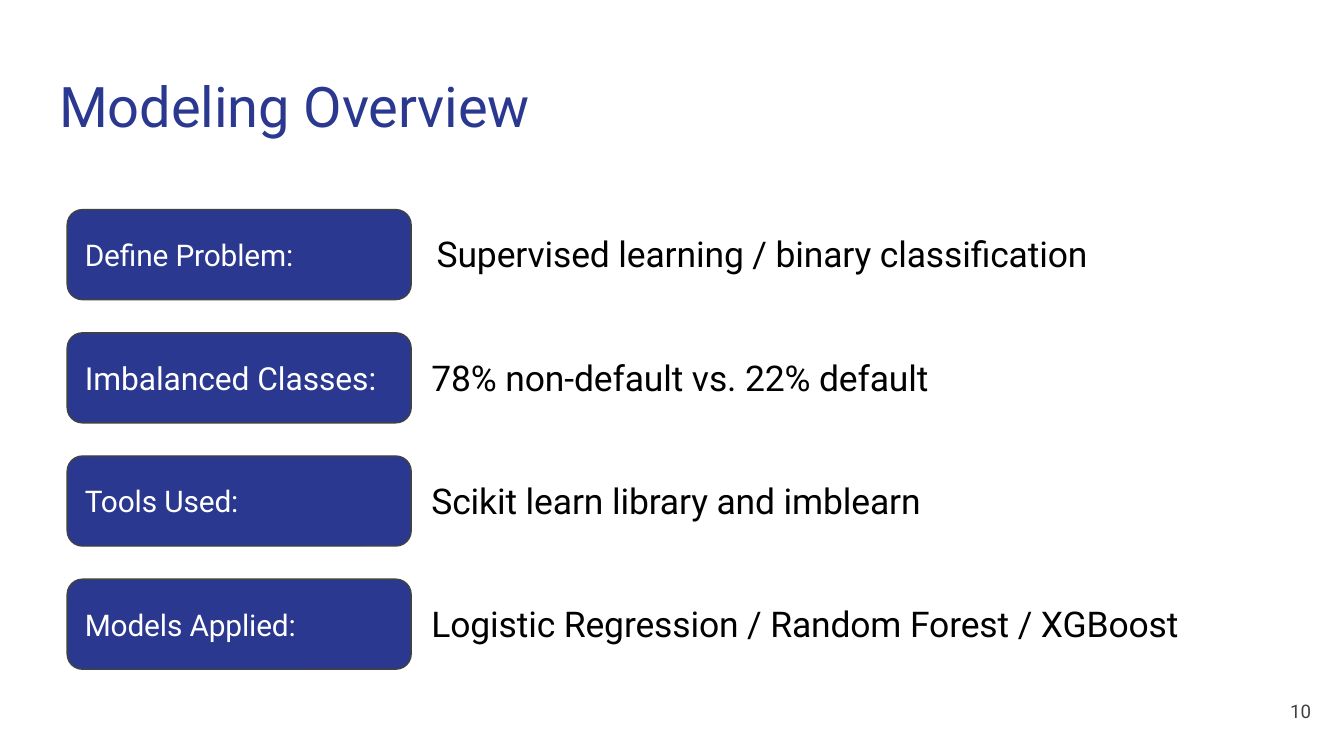
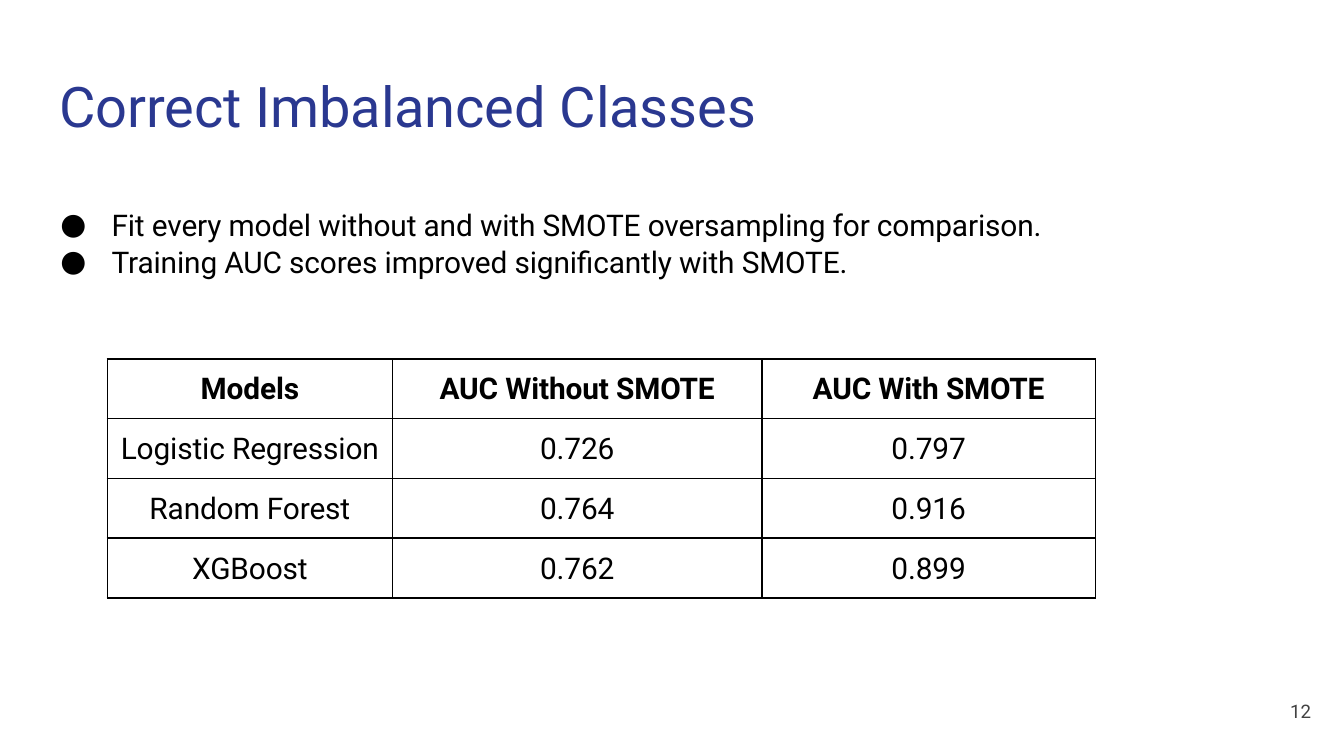
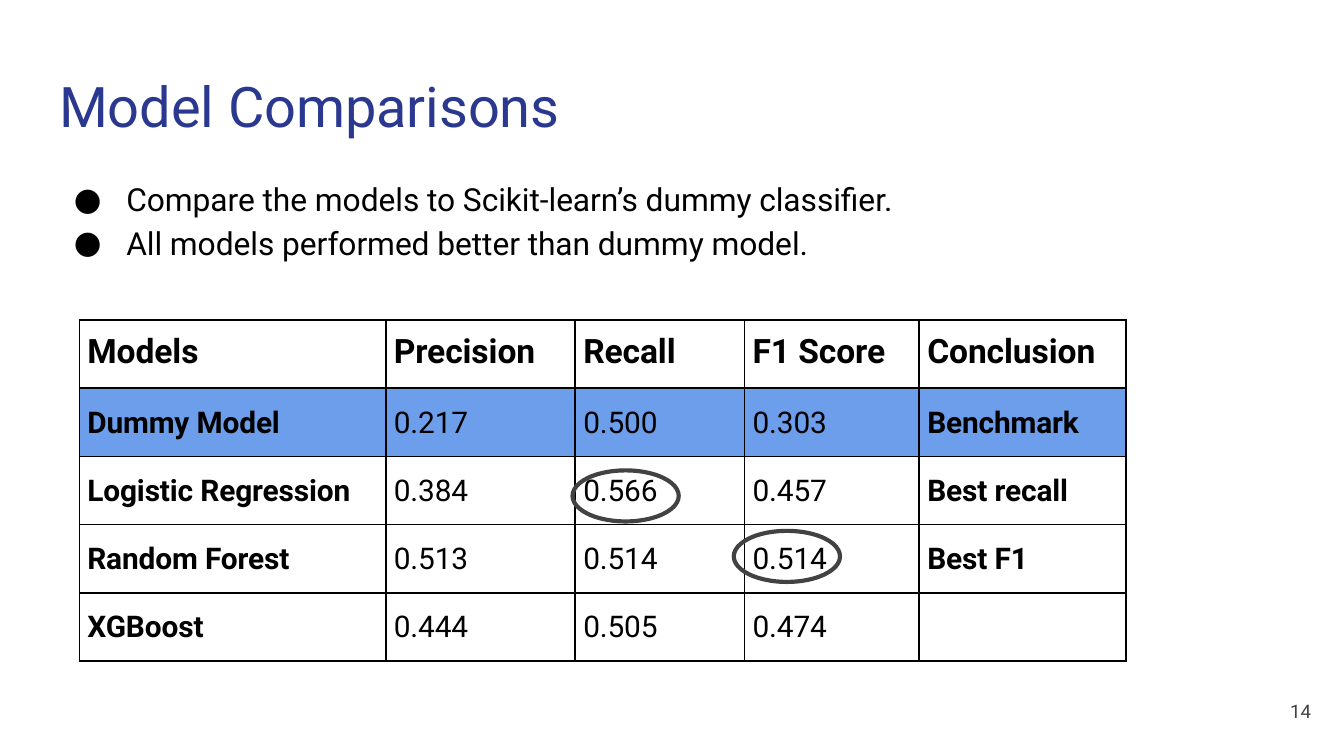
"""Build three slides on modeling, class balance and model comparison."""
from lxml.etree import SubElement
from pptx import Presentation
from pptx.dml.color import RGBColor
from pptx.enum.shapes import MSO_SHAPE as Shape
from pptx.enum.text import MSO_ANCHOR as Anchor, PP_ALIGN as Align
from pptx.oxml import parse_xml
from pptx.oxml.ns import nsdecls, qn
from pptx.util import Inches, Pt

FONT = "Roboto"
COLORS = {
    "navy": "2A3890",
    "gray": "424242",
    "black": "000000",
    "white": "FFFFFF",
    "benchmark": "6D9EEB",
}


def rgb(name):
    return RGBColor.from_string(COLORS[name])


def write(paragraph, text, size=16, color="black", bold=False, align=Align.LEFT, spacing=-5):
    run = paragraph.add_run()
    run.text = text
    run.font.name = FONT
    run.font.size = Pt(size)
    run.font.bold = bold
    run.font.color.rgb = rgb(color)
    run._r.get_or_add_rPr().set("spc", str(spacing))
    paragraph.alignment = align


def set_margins(target, left=0, top=0):
    target.margin_left, target.margin_top = Inches(left), Inches(top)
    target.margin_right = target.margin_bottom = 0


class Deck:
    def __init__(self):
        self.presentation = Presentation()
        self.presentation.slide_width = Inches(10)
        self.presentation.slide_height = Inches(10) * 9 // 16
        self.slide = None

    def new_slide(self, title, title_width, number):
        self.slide = self.presentation.slides.add_slide(self.presentation.slide_layouts[6])
        self.text(title, 0.42, 0.51, title_width, 0.53, size=30, color="navy")
        self.text(number, 9.56, 5.21, 0.24, 0.19, left=0.04, top=0,
                  size=10, color="gray", spacing=0)

    def frame(self, x, y, width, height, left=0, top=0.02):
        box = self.slide.shapes.add_textbox(*map(Inches, (x, y, width, height)))
        box.text_frame.word_wrap = True
        set_margins(box.text_frame, left, top)
        return box.text_frame

    def text(self, text, x, y, width, height, left=0.02, top=0.02, **style):
        write(self.frame(x, y, width, height, left, top).paragraphs[0], text, **style)

    def bullets(self, lines, x, y, width, height, indent=0.4, gap=0.3, top=0.02, **style):
        frame = self.frame(x, y, width, height, top=top)
        for index, line in enumerate(lines):
            paragraph = frame.add_paragraph() if index else frame.paragraphs[0]
            write(paragraph, line, **style)
            if index:
                paragraph.space_before = Pt(gap)
            properties = paragraph._p.get_or_add_pPr()
            properties.set("marL", str(Inches(indent)))
            properties.set("indent", str(-Inches(indent - 0.02)))
            SubElement(properties, qn("a:buFont")).set("typeface", FONT)
            SubElement(properties, qn("a:buChar")).set("char", "●")

    def shape(self, kind, x, y, width, height, line=0.75, fill=None):
        shape = self.slide.shapes.add_shape(kind, *map(Inches, (x, y, width, height)))
        shape.shadow.inherit = False
        shape.line.color.rgb = rgb("gray")
        shape.line.width = Pt(line)
        if fill:
            shape.fill.solid()
            shape.fill.fore_color.rgb = rgb(fill)
        else:
            shape.fill.background()
        return shape

    def pill(self, label, x, y, width, height, size=16):
        pill = self.shape(Shape.ROUNDED_RECTANGLE, x, y, width, height, fill="navy")
        pill.adjustments[0] = 0.17
        frame = pill.text_frame
        set_margins(frame, 0.1)
        frame.vertical_anchor = Anchor.MIDDLE
        write(frame.paragraphs[0], label, size=size, color="white")

    def ring(self, x, y):
        self.shape(Shape.OVAL, x, y, 0.79, 0.38, line=2.25)

    def table(self, rows, x, y, widths, height, style, tops=(0.1, 0.1), left=0, fills=()):
        table = self.slide.shapes.add_table(
            len(rows), len(widths), Inches(x), Inches(y),
            Inches(sum(widths)), Inches(height)).table
        table.first_row = table.horz_banding = False
        for column, width in zip(table.columns, widths):
            column.width = Inches(width)
        for r, row in enumerate(rows):
            table.rows[r].height = Inches(height / len(rows))
            for c, value in enumerate(row):
                cell = table.cell(r, c)
                set_margins(cell, left, tops[min(r, 1)])
                cell.fill.solid()
                cell.fill.fore_color.rgb = rgb(dict(fills).get(r, "white"))
                self.border(cell)
                if value:
                    write(cell.text_frame.paragraphs[0], value, **style(r, c))

    def border(self, cell):
        properties = cell._tc.get_or_add_tcPr()
        for index, side in enumerate("LRTB"):
            properties.insert(index, parse_xml(
                f'<a:ln{side} {nsdecls("a")} w="{Pt(1)}"><a:solidFill>'
                f'<a:srgbClr val="{COLORS["black"]}"/></a:solidFill></a:ln{side}>'))


def add_overview(deck):
    deck.new_slide("Modeling Overview", 3.54, "10")
    steps = [
        ("Deﬁne Problem:", 16, "Supervised learning / binary classiﬁcation", 3.23, 4.9),
        ("Imbalanced Classes:", 17, "78% non-default vs. 22% default", 3.19, 3.75),
        ("Tools Used:", 16, "Scikit learn library and imblearn", 3.19, 3.69),
        ("Models Applied:", 16, "Logistic Regression / Random Forest / XGBoost", 3.19, 5.62),
    ]
    first, last = 1.56, 4.31
    for index, (label, size, detail, detail_x, detail_width) in enumerate(steps):
        y = first + index * (last - first) / (len(steps) - 1)
        deck.pill(label, 0.5, y, 2.56, 0.67, size=size)
        deck.text(detail, detail_x, y + 0.15, detail_width, 0.34, size=19)


def add_balancing(deck):
    deck.new_slide("Correct Imbalanced Classes", 5.22, "12")
    auc_scores = [
        ("Models", "AUC Without SMOTE", "AUC With SMOTE"),
        ("Logistic Regression", "0.726", "0.797"),
        ("Random Forest", "0.764", "0.916"),
        ("XGBoost", "0.762", "0.899"),
    ]
    deck.table(auc_scores, 0.8, 2.67, (2.12, 2.75, 2.48), 1.78,
               lambda r, c: {"bold": r == 0, "align": Align.CENTER})
    deck.bullets(["Fit every model without and with SMOTE oversampling for comparison.",
                  "Training AUC scores improved signiﬁcantly with SMOTE."],
                 0.43, 1.52, 7.39, 0.57)


def add_comparison(deck):
    deck.new_slide("Model Comparisons", 3.75, "14")
    metrics = [
        ("Models", "Precision", "Recall", "F1 Score", "Conclusion"),
        ("Dummy Model", "0.217", "0.500", "0.303", "Benchmark"),
        ("Logistic Regression", "0.384", "0.566", "0.457", "Best recall"),
        ("Random Forest", "0.513", "0.514", "0.514", "Best F1"),
        ("XGBoost", "0.444", "0.505", "0.474", ""),
    ]
    deck.table(metrics, 0.59, 2.38, (2.28, 1.41, 1.26, 1.3, 1.54), 2.54,
               lambda r, c: {"size": 16 if r else 18, "bold": r == 0 or c in (0, 4)},
               tops=(0.09, 0.13), left=0.06, fills={1: "benchmark"})
    deck.bullets(["Compare the models to Scikit-learn’s dummy classiﬁer.",
                  "All models performed better than dummy model."],
                 0.53, 1.28, 6.13, 0.67, indent=0.41, gap=2.8, top=0.06, size=17)
    deck.ring(4.26, 3.5)
    deck.ring(5.46, 3.95)


def main():
    deck = Deck()
    add_overview(deck)
    add_balancing(deck)
    add_comparison(deck)
    deck.presentation.save("out.pptx")


if __name__ == "__main__":
    main()
